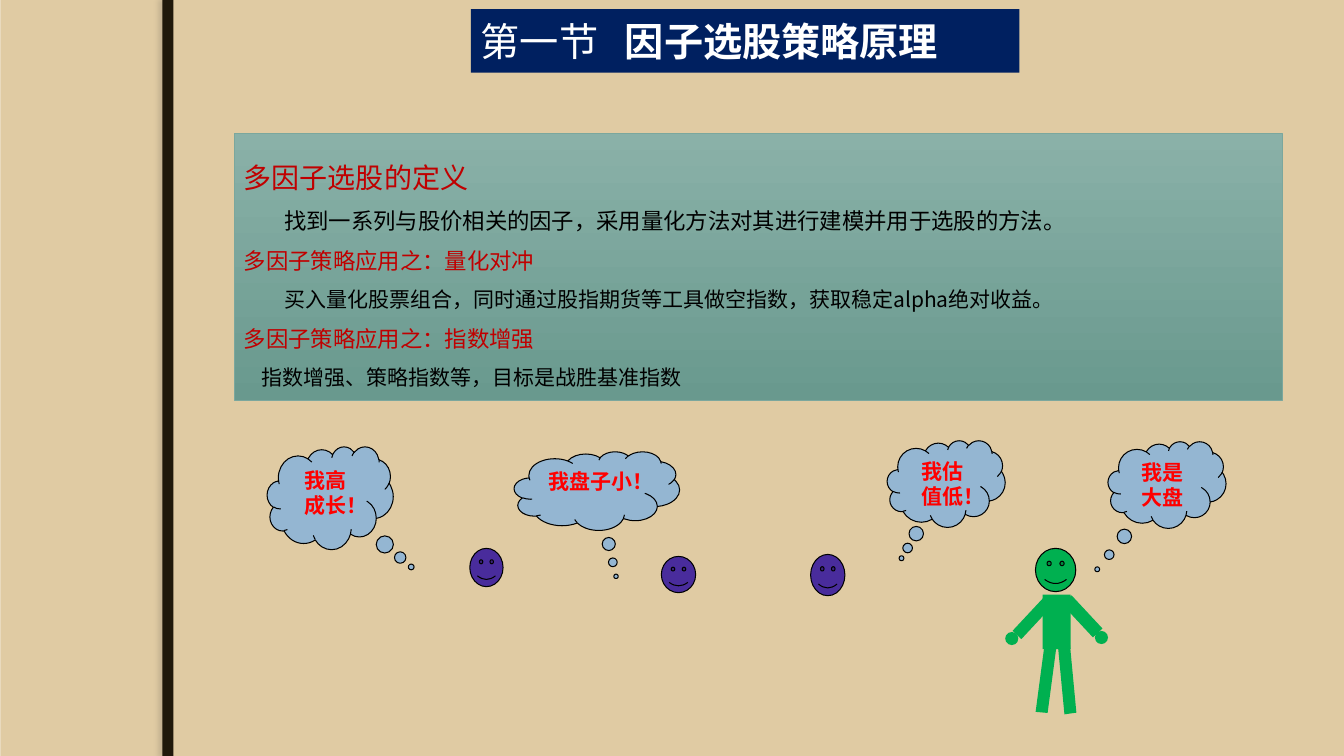
from dataclasses import dataclass

from lxml.etree import SubElement
from pptx import Presentation
from pptx.dml.color import RGBColor
from pptx.enum.shapes import MSO_SHAPE as Shape
from pptx.enum.text import MSO_ANCHOR as Anchor, PP_ALIGN as Align
from pptx.oxml.ns import qn
from pptx.util import Inches, Pt


@dataclass(frozen=True)
class Theme:
    backdrop: str = "EBDDC3"
    paper: str = "E0CBA3"
    spine: str = "20190B"
    spine_shadow: str = "766E60"
    navy: str = "002060"
    white: str = "FFFFFF"
    black: str = "000000"
    heading: str = "C00000"
    speech: str = "FF0000"
    cloud: str = "94B6D2"
    face: str = "492C9C"
    figure: str = "00B050"
    panel_top: str = "8AB1A8"
    panel_bottom: str = "69998E"
    panel_line: str = "7BA79D"
    cjk: str = "Noto Sans CJK SC"
    title_latin: str = "TeX Gyre Adventor"
    speech_latin: str = "Arial"
    title_size: int = 28
    lead_size: int = 20
    sub_size: int = 16
    small_size: int = 15


THEME = Theme()

# text, size, colour, left indent in inches
DEFINITION = [
    ("多因子选股的定义", THEME.lead_size, THEME.heading, 0),
    ("找到一系列与股价相关的因子，采用量化方法对其进行建模并用于选股的方法。",
     THEME.sub_size, THEME.black, 0.4),
    ("多因子策略应用之：量化对冲", THEME.sub_size, THEME.heading, 0),
    ("买入量化股票组合，同时通过股指期货等工具做空指数，获取稳定alpha绝对收益。",
     THEME.small_size, THEME.black, 0.4),
    ("多因子策略应用之：指数增强", THEME.sub_size, THEME.heading, 0),
    ("指数增强、策略指数等，目标是战胜基准指数", THEME.small_size, THEME.black, 0.18),
]

# text, place, pointer offset from the cloud's centre
THOUGHTS = [
    ("我高成长！", (2.65, 4.43, 1.25, 1.02), (0.643, 0.671)),
    ("我盘子小！", (5.1, 4.48, 1.64, 0.78), (0.116, 1.087)),
    ("我估值低！", (8.8, 4.37, 1.17, 0.86), (-0.379, 0.859)),
    ("我是大盘", (10.99, 4.38, 1.17, 0.86), (-0.592, 0.975)),
]

FACES = [
    ((4.66, 5.44, 0.33, 0.38), THEME.face),
    ((6.56, 5.52, 0.34, 0.36), THEME.face),
    ((8.04, 5.5, 0.34, 0.41), THEME.face),
    ((10.27, 5.44, 0.4, 0.43), THEME.figure),
]

# kind, place, rotation: legs, arms, hands, trunk
BODY_PARTS = [
    (Shape.FLOWCHART_DATA, (10.3, 6.4, 0.15, 0.67), 5),
    (Shape.FLOWCHART_DATA, (10.51, 6.41, 0.15, 0.67), 352),
    (Shape.RECTANGLE, (10.18, 5.91, 0.12, 0.45), 43),
    (Shape.RECTANGLE, (10.67, 5.89, 0.13, 0.45), 317),
    (Shape.OVAL, (9.97, 6.27, 0.13, 0.13), 0),
    (Shape.OVAL, (10.86, 6.26, 0.13, 0.13), 0),
    (Shape.RECTANGLE, (10.34, 5.9, 0.28, 0.54), 0),
]


def rgb(value):
    return RGBColor.from_string(value)


def add_figure(page, kind, place, fill=None, line=None, width=0.75):
    """Add a preset shape without shadow; no line colour means no outline."""
    shape = page.shapes.add_shape(kind, *map(Inches, place))
    shape.shadow.inherit = False
    if fill:
        shape.fill.solid()
        shape.fill.fore_color.rgb = rgb(fill)
    if line:
        shape.line.color.rgb = rgb(line)
        shape.line.width = Pt(width)
    else:
        shape.line.fill.background()
    return shape


def add_span(para, text, color, latin=THEME.cjk, **formats):
    span = para.add_run()
    span.text = text
    span.font.color.rgb = rgb(color)
    for name, value in {"name": latin, **formats}.items():
        setattr(span.font, name, value)
    east_asian = SubElement(span.font._element, qn("a:ea"))
    east_asian.set("typeface", THEME.cjk)


def add_spine(page):
    """Add the dark binding strip with its soft shadow to the left."""
    spine = add_figure(page, Shape.RECTANGLE, (1.61, 0, 0.11, 7.5), THEME.spine)
    effects = spine._element.spPr.find(qn("a:effectLst"))
    shadow = SubElement(effects, qn("a:outerShdw"), blurRad=str(Pt(3)),
                        dist=str(Pt(3)), dir="10800000", rotWithShape="0")
    color = SubElement(shadow, qn("a:srgbClr"), val=THEME.spine_shadow)
    SubElement(color, qn("a:alpha"), val="25000")


def add_title(page):
    box = add_figure(page, Shape.RECTANGLE, (4.67, 0.09, 5.44, 0.63), THEME.navy)
    box.text_frame.vertical_anchor = Anchor.MIDDLE
    para = box.text_frame.paragraphs[0]
    para.alignment = Align.JUSTIFY
    tabs = SubElement(para._p.get_or_add_pPr(), qn("a:tabLst"))
    SubElement(tabs, qn("a:tab"), pos=str(Inches(1.43)), algn="l")
    size = Pt(THEME.title_size)
    add_span(para, "第一节\t", THEME.white, THEME.title_latin, size=size)
    add_span(para, "因子选股策略原理", THEME.white, size=size, bold=True)


def add_definition(page):
    panel = add_figure(page, Shape.RECTANGLE, (2.32, 1.32, 10.4, 2.65),
                       line=THEME.panel_line, width=0.5)
    panel.fill.gradient()
    panel.fill.gradient_angle = 270
    ends = (THEME.panel_top, THEME.panel_bottom)
    for position, (stop, color) in enumerate(zip(panel.fill.gradient_stops, ends)):
        stop.position = position
        stop.color.rgb = rgb(color)
    frame = panel.text_frame
    frame.vertical_anchor = Anchor.MIDDLE
    for index, (text, size, color, indent) in enumerate(DEFINITION):
        para = frame.add_paragraph() if index else frame.paragraphs[0]
        para.alignment = Align.LEFT
        para.line_spacing = 1.5
        para._p.get_or_add_pPr().set("indent", str(Inches(indent)))
        add_span(para, text, color, size=Pt(size))


def add_thought(page, text, place, pointer):
    cloud = add_figure(page, Shape.CLOUD_CALLOUT, place, THEME.cloud, THEME.black)
    for index, offset in enumerate(pointer):
        cloud.adjustments[index] = offset
    cloud.text_frame.vertical_anchor = Anchor.TOP
    para = cloud.text_frame.paragraphs[0]
    para.alignment = Align.CENTER
    add_span(para, text, THEME.speech, THEME.speech_latin,
             size=Pt(THEME.small_size), bold=True)


def main():
    deck = Presentation()
    deck.slide_width, deck.slide_height = Inches(13.33), Inches(7.5)
    page = deck.slides.add_slide(deck.slide_layouts[6])
    page.background.fill.solid()
    page.background.fill.fore_color.rgb = rgb(THEME.backdrop)

    add_figure(page, Shape.RECTANGLE, (0.01, 0, 13.32, 7.5), THEME.paper)
    add_spine(page)
    add_title(page)
    add_definition(page)
    for thought in THOUGHTS:
        add_thought(page, *thought)
    for kind, place, rotation in BODY_PARTS:
        add_figure(page, kind, place, THEME.figure).rotation = rotation
    for place, color in FACES:
        add_figure(page, Shape.SMILEY_FACE, place, color, THEME.black)
    deck.save("out.pptx")


if __name__ == "__main__":
    main()
